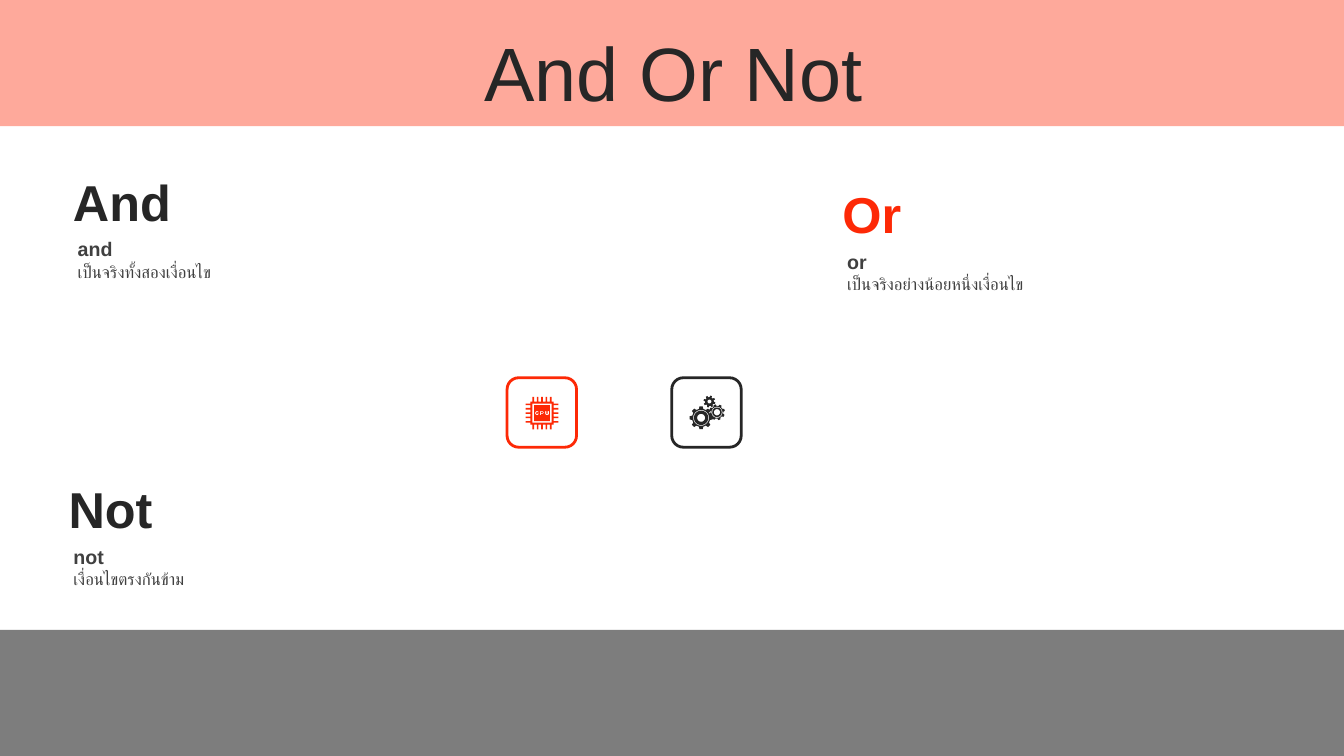
import math

import pptx
import pptx.dml.color
import pptx.enum.shapes
import pptx.enum.text
import pptx.util

Cm = pptx.util.Cm
MSO_SHAPE = pptx.enum.shapes.MSO_SHAPE
ANCHOR = pptx.enum.text.MSO_ANCHOR
DARK, RED, GREY = "262626", "FD2906", "404040"


def color(value):
    return pptx.dml.color.RGBColor.from_string(value)


def paint(sp, fill=None, line=None):
    sp.shadow.inherit = False
    if fill:
        sp.fill.solid()
        sp.fill.fore_color.rgb = color(fill)
    else:
        sp.fill.background()
    if line:
        sp.line.color.rgb = color(line)
        sp.line.width = pptx.util.Pt(2)
    else:
        sp.line.fill.background()


def add_band(s, top, fill):
    sp = s.shapes.add_shape(MSO_SHAPE.RECTANGLE, 0, Cm(top), Cm(33.87), Cm(3.23))
    paint(sp, fill)


def add_frame(s, left, line):
    sp = s.shapes.add_shape(MSO_SHAPE.ROUNDED_RECTANGLE, Cm(left), Cm(9.52), Cm(1.75), Cm(1.75))
    paint(sp, line=line)


def add_text(shapes, box, text, size, fill, bold=False, anchor=ANCHOR.TOP):
    sp = shapes.add_textbox(*[Cm(v) for v in box])
    tf = sp.text_frame
    tf.word_wrap = True
    tf.vertical_anchor = anchor
    p = tf.paragraphs[0]
    p.text = text
    p.font.name = "Arial"
    p.font.size = pptx.util.Pt(size)
    p.font.bold = bold
    p.font.color.rgb = color(fill)
    return tf


def add_title(s, text):
    tf = add_text(s.shapes, (0.89, 0.94, 32.16, 2.01), text, 54, DARK, anchor=ANCHOR.MIDDLE)
    p = tf.paragraphs[0]
    p.alignment = pptx.enum.text.PP_ALIGN.CENTER
    p.line_spacing = 0.9
    p.space_before = pptx.util.Pt(10)


def add_operator(s, left, top, heading, keyword, meaning, fill):
    shapes = s.shapes.add_group_shape().shapes
    tf = add_text(shapes, (left, top, 4.09, 1.55), heading, 36, fill, True)
    tf.margin_left, tf.margin_right = Cm(0.13), Cm(0.08)
    tf.margin_top = tf.margin_bottom = 0
    add_text(shapes, (left, top + 1.54, 11.94, 0.85), keyword, 14, GREY, True, ANCHOR.MIDDLE)
    add_text(shapes, (left, top + 2.15, 11.94, 0.77), meaning, 12, GREY)


def add_outline(s, contours, fill):
    contours = [[(Cm(x), Cm(y)) for x, y in contour] for contour in contours]
    builder = s.shapes.build_freeform(*contours[0][0])
    for i, contour in enumerate(contours):
        if i:
            builder.move_to(*contour[0])
        builder.add_line_segments(contour[1:], close=True)
    paint(builder.convert_to_shape(), fill)


def rectangle(x, y, half_w, half_h):
    return [(x - half_w, y - half_h), (x + half_w, y - half_h),
            (x + half_w, y + half_h), (x - half_w, y + half_h)]


def circle(x, y, radius, steps=32):
    angles = [2 * math.pi * i / steps for i in range(steps)]
    return [(x + radius * math.cos(a), y + radius * math.sin(a)) for a in angles]


def gear(x, y, tip, root, holes, tilt):
    teeth = []
    for i in range(8):
        for offset, radius in ((-14, root), (-8, tip), (8, tip), (14, root)):
            a = math.radians(45 * i + tilt + offset)
            teeth.append((x + radius * math.sin(a), y - radius * math.cos(a)))
    return [teeth] + [circle(x, y, radius) for radius in holes]


def add_gears(s):
    contours = (gear(17.67, 10.53, 0.29, 0.23, (0.2, 0.18, 0.1), 0)
                + gear(18.07, 10.39, 0.2, 0.16, (0.14, 0.12, 0.08), -18)
                + gear(17.88, 10.12, 0.15, 0.11, (0.05,), 16))
    add_outline(s, contours, DARK)


def add_processor(s):
    letter_c = [(-0.08, -0.02), (-0.1, -0.05), (-0.15, -0.05), (-0.18, 0), (-0.15, 0.05),
                (-0.1, 0.05), (-0.08, 0.01), (-0.11, 0.01), (-0.13, 0.03), (-0.15, 0),
                (-0.13, -0.03), (-0.11, -0.02)]
    letter_p = [(-0.05, -0.05), (0.02, -0.05), (0.05, -0.02), (0.02, 0.02), (-0.02, 0.02),
                (-0.02, 0.05), (-0.05, 0.05)]
    bowl_p = [(-0.02, -0.03), (0.01, -0.03), (0.02, -0.02), (0.01, 0), (-0.02, 0)]
    letter_u = [(0.08, -0.05), (0.11, -0.05), (0.11, 0.02), (0.13, 0.03), (0.14, 0.02),
                (0.14, -0.05), (0.18, -0.05), (0.18, 0.02), (0.15, 0.05), (0.1, 0.05),
                (0.08, 0.02)]
    contours = [rectangle(0, 0, half, half) for half in (0.29, 0.24, 0.2)]
    contours += [letter_c, letter_p, bowl_p, letter_u]
    for i in range(-2, 3):
        for side in (-0.35, 0.35):
            contours.append(rectangle(0.11 * i, side, 0.02, 0.06))
            contours.append(rectangle(side, 0.11 * i, 0.06, 0.02))
    add_outline(s, [[(13.66 + x, 10.41 + y) for x, y in c] for c in contours], RED)


def main():
    prs = pptx.Presentation()
    prs.slide_width, prs.slide_height = Cm(33.87), Cm(19.05)
    s = prs.slides.add_slide(prs.slide_layouts[6])
    add_band(s, -0.05, "FEA99B")
    add_band(s, 15.87, "7D7D7D")
    add_title(s, "And Or Not")
    add_frame(s, 16.93, DARK)
    add_frame(s, 12.78, RED)
    add_processor(s)
    add_gears(s)
    add_operator(s, 1.71, 4.31, "And", "and", "เป็นจริงทั้งสองเงื่อนไข", DARK)
    add_operator(s, 21.1, 4.62, "Or", "or", "เป็นจริงอย่างน้อยหนึ่งเงื่อนไข", RED)
    add_operator(s, 1.6, 12.05, "Not", "not", "เงื่อนไขตรงกันข้าม", DARK)
    prs.save("out.pptx")


if __name__ == "__main__":
    main()
